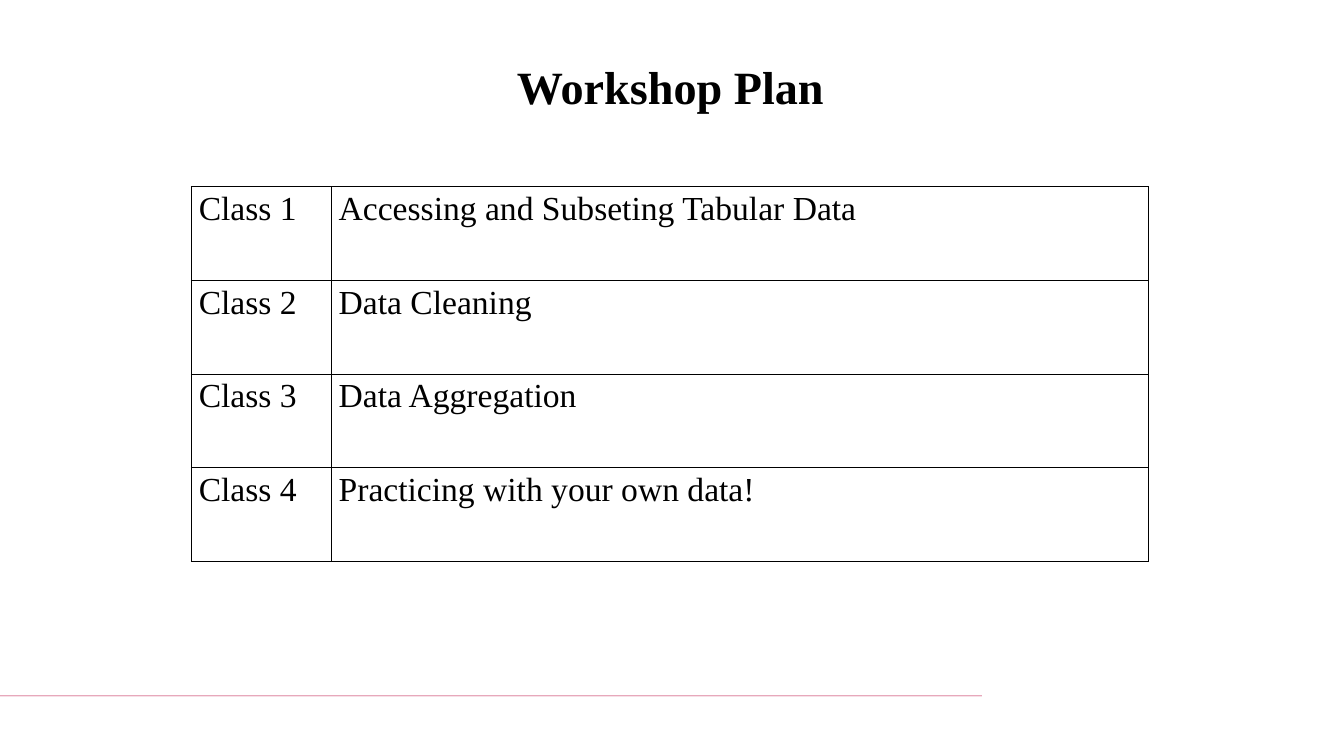
from typing import NamedTuple

from lxml import etree
from pptx import Presentation
from pptx import util as u
from pptx.dml import color
from pptx.enum import shapes, text
from pptx.oxml import ns

PIXEL = u.Inches(1) // 100
COLORS = {"ink": "000000", "rule": "BC0940"}
FONT = "Times New Roman"
COLUMN_WIDTHS = (185, 1081)
ROW_HEIGHT = 124


class Box(NamedTuple):
    left: int
    top: int
    width: int
    height: int

    def lengths(self) -> list[int]:
        return [px(value) for value in self]


class Session(NamedTuple):
    name: str
    topic: str


SESSIONS = (
    Session("Class 1", "Accessing and Subseting Tabular Data"),
    Session("Class 2", "Data Cleaning"),
    Session("Class 3", "Data Aggregation"),
    Session("Class 4", "Practicing with your own data!"),
)


def px(value: int) -> u.Emu:
    return u.Emu(value * PIXEL)


def rgb(name: str) -> color.RGBColor:
    return color.RGBColor.from_string(COLORS[name])


def write(frame, content: str, *, size: int, bold: bool = False,
          align=text.PP_ALIGN.LEFT) -> None:
    paragraph = frame.paragraphs[0]
    paragraph.alignment = align
    run = paragraph.add_run()
    run.text = content
    run.font.name = FONT
    run.font.size = u.Pt(size)
    run.font.bold = bold
    run.font.color.rgb = rgb("ink")


def draw_rule(slide, box: Box) -> None:
    shape = slide.shapes.add_shape(shapes.MSO_SHAPE.RECTANGLE, *box.lengths())
    shape.shadow.inherit = False
    shape.fill.solid()
    shape.fill.fore_color.rgb = rgb("rule")
    shape.line.fill.background()


def draw_title(slide, box: Box, content: str) -> None:
    frame = slide.shapes.add_textbox(*box.lengths()).text_frame
    frame.word_wrap = True
    frame.margin_top = px(13)
    frame.margin_bottom = 0
    write(frame, content, size=44, bold=True, align=text.PP_ALIGN.CENTER)


def border_cell(cell) -> None:
    properties = cell._tc.get_or_add_tcPr()
    for side in ("lnL", "lnR", "lnT", "lnB"):
        line = etree.SubElement(properties, ns.qn(f"a:{side}"), w=str(u.Pt(1)))
        fill = etree.SubElement(line, ns.qn("a:solidFill"))
        etree.SubElement(fill, ns.qn("a:srgbClr"), val=COLORS["ink"])


def draw_plan(slide, left: int, top: int, sessions: tuple[Session, ...]) -> None:
    box = Box(left, top, sum(COLUMN_WIDTHS), ROW_HEIGHT * len(sessions))
    table = slide.shapes.add_table(
        len(sessions), len(COLUMN_WIDTHS), *box.lengths()).table
    table.first_row = False
    table.horz_banding = False
    for column, width in zip(table.columns, COLUMN_WIDTHS):
        column.width = px(width)
    for row, session in zip(table.rows, sessions):
        row.height = px(ROW_HEIGHT)
        for cell, content in zip(row.cells, session):
            border_cell(cell)
            cell.fill.background()
            write(cell.text_frame, content, size=32)


def main() -> None:
    presentation = Presentation()
    presentation.slide_width = px(1778)
    presentation.slide_height = px(1000)
    slide = presentation.slides.add_slide(presentation.slide_layouts[6])
    draw_rule(slide, Box(0, 920, 1299, 1))
    draw_title(slide, Box(66, 64, 1642, 84), "Workshop Plan")
    draw_plan(slide, 253, 247, SESSIONS)
    presentation.save("out.pptx")


if __name__ == "__main__":
    main()
